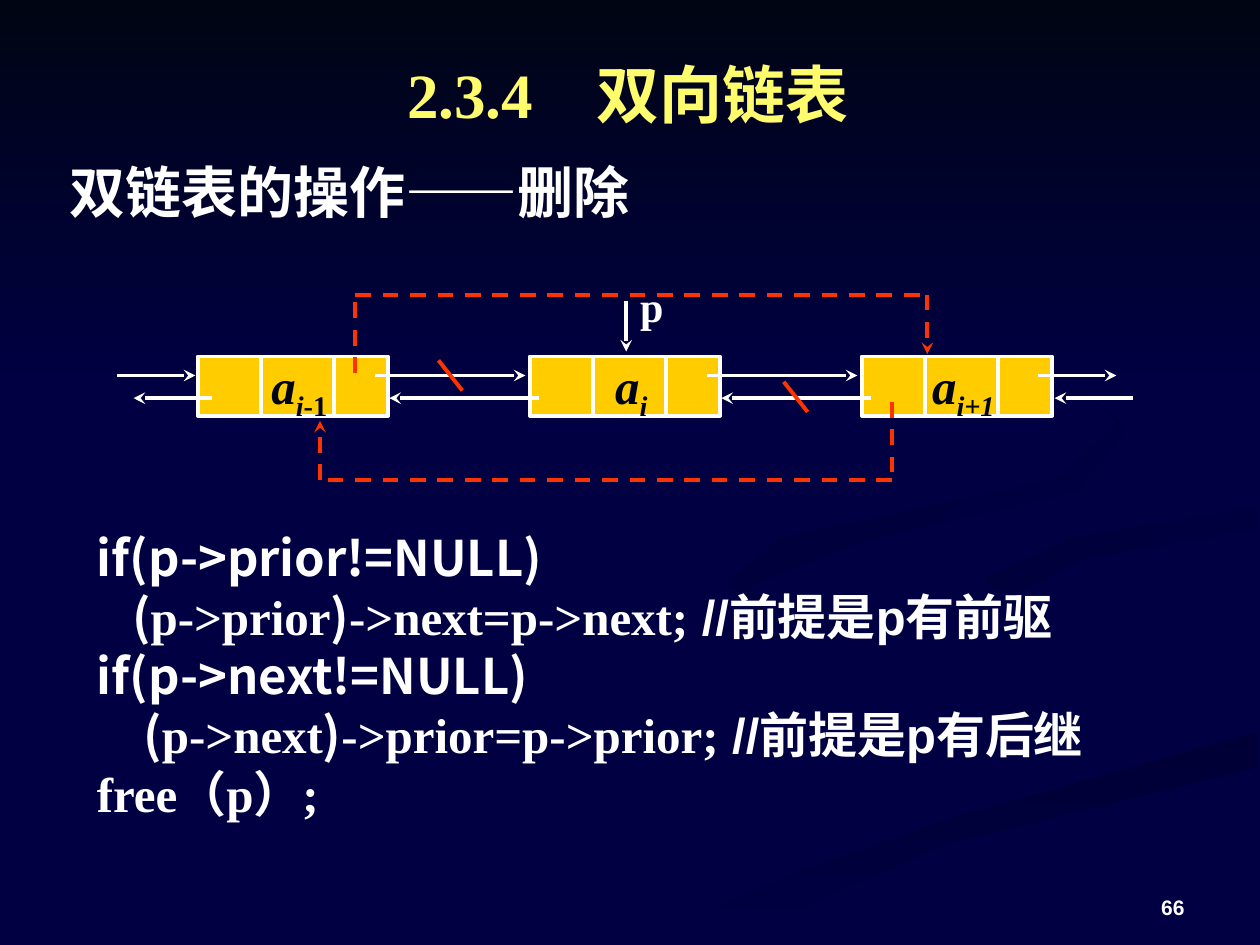
from lxml.etree import SubElement
from pptx import Presentation
from pptx.dml.color import RGBColor
from pptx.enum.dml import MSO_LINE_DASH_STYLE as Dash
from pptx.enum.shapes import MSO_CONNECTOR as Connector, MSO_SHAPE as Shape
from pptx.enum.text import MSO_ANCHOR as Anchor, PP_ALIGN as Align
from pptx.oxml.ns import qn
from pptx.util import Inches, Pt

WHITE, RED, GOLD, YELLOW, NAVY, INK = (
    "FFFFFF", "FF3300", "FFCC00", "FEFB6D", "000042", "000514")
TIMES, ARIAL, NOTO = "Times New Roman", "Arial", "Noto Sans CJK SC"
color = RGBColor.from_string

prs = Presentation()
prs.slide_width, prs.slide_height = Inches(10), Inches(7.5)
slide = prs.slides.add_slide(prs.slide_layouts[6])
shapes = slide.shapes
slide.background.fill.solid()
slide.background.fill.fore_color.rgb = color(NAVY)


def write(paragraph, pieces, size, rgb):
    """Add bold runs given as (text, font, extra rPr attributes)."""
    for text, font, extra in pieces:
        run = paragraph.add_run()
        run.text = text
        formats = {"name": font, "size": Pt(size), "bold": True}
        for key, value in formats.items():
            setattr(run.font, key, value)
        run.font.color.rgb = color(rgb)
        props = run.font._element
        SubElement(props, qn("a:ea")).set("typeface", NOTO)
        for key, value in extra.items():
            props.set(key, value)


def draw_line(x1, y1, x2, y2, rgb=WHITE, arrow=False, dashed=False):
    line = shapes.add_connector(
        Connector.STRAIGHT, *map(Inches, (x1, y1, x2, y2)))
    line.line.color.rgb = color(rgb)
    line.line.width = Pt(2.25)
    if dashed:
        line.line.dash_style = Dash.DASH
    if arrow:
        SubElement(line.line._get_or_add_ln(), qn("a:tailEnd")).set("type", "stealth")
    SubElement(line._element.spPr, qn("a:effectLst"))


# Faint background swooshes and the dark band at the top
swooshes = [
    ("000036", 90, [(5.03, 7.49), (5.71, 7.49), (7.5, 6.7), (9.98, 6.09),
                    (9.98, 5.81), (7.64, 6.47), (6.3, 6.93)]),
    ("00003A", 45, [(7.81, 4.6), (8.26, 4.96), (8.05, 4.72), (8.6, 4.43),
                    (9.98, 4.2), (9.98, 4.02), (8.5, 4.27)]),
    ("000038", 45, [(6.83, 4.3), (8.55, 3.9), (8.94, 3.4), (7.62, 2.33),
                    (8.89, 3.35), (8.4, 3.8), (6.2, 4.27), (5.77, 4.62),
                    (6.22, 5), (5.95, 4.65)]),
    (INK, 90, [(0, 0), (0, 3.08), (10, 3.08), (10, 0)]),
]
for start, angle, outline in swooshes:
    points = [(Inches(x), Inches(y)) for x, y in outline]
    builder = shapes.build_freeform(*points[0])
    builder.add_line_segments(points[1:], close=True)
    swoosh = builder.convert_to_shape()
    swoosh.shadow.inherit = False
    swoosh.line.fill.background()
    swoosh.fill.gradient()
    swoosh.fill.gradient_angle = 360 - angle
    for stop, rgb in zip(swoosh.fill.gradient_stops, (start, NAVY)):
        stop.color.rgb = color(rgb)

# Title, heading, code, pointer label and page number:
# place, size, colour, margin, anchor, paragraph format, [(indent, runs)]
code = [(0, [("if(p->prior!=NULL)", NOTO, {})])]
code += [
    (0.28, [("(", NOTO, {}), ("p->prior", TIMES, {}), (")", NOTO, {}),
            ("->next=p->next;", TIMES, {}), (" //前提是p有前驱", ARIAL, {})]),
    (0, [("if(p->next!=NULL)", NOTO, {})]),
    (0.37, [("(", NOTO, {}), ("p->next", TIMES, {}), (")", NOTO, {}),
            ("->prior=p->prior;", TIMES, {}), (" //前提是p有后继", ARIAL, {})]),
    (0, [("free（p）;", TIMES, {})]),
]
texts = [
    ((1.52, 0.46, 6.92, 0.64), 36, YELLOW, 0.1, Anchor.MIDDLE,
     {"alignment": Align.CENTER, "line_spacing": 0.9},
     [(0, [("2.3.4　双向链表", TIMES, {})])]),
    ((0.45, 1.2, 4.75, 0.64), 32, WHITE, 0.1, Anchor.TOP, {},
     [(0, [("双链表的操作——删除", ARIAL, {})])]),
    ((0.67, 4.14, 9.14, 2.44), 28, WHITE, 0.1, Anchor.TOP, {}, code),
    ((5.08, 2.23, 0.27, 0.4), 24, WHITE, 0, Anchor.TOP, {},
     [(0, [("p", TIMES, {})])]),
    ((7.17, 6.83, 2.33, 0.52), 12, WHITE, 0.1, Anchor.BOTTOM,
     {"alignment": Align.RIGHT}, [(0, [("66", ARIAL, {})])]),
]
for place, size, rgb, margin, anchor, layout, lines in texts:
    frame = shapes.add_textbox(*map(Inches, place)).text_frame
    formats = {"word_wrap": True, "vertical_anchor": anchor,
               "margin_left": Inches(margin), "margin_right": Inches(margin),
               "margin_top": Inches(margin / 2), "margin_bottom": Inches(margin / 2)}
    for key, value in formats.items():
        setattr(frame, key, value)
    for number, (indent, pieces) in enumerate(lines):
        paragraph = frame.add_paragraph() if number else frame.paragraphs[0]
        if indent:
            paragraph._p.get_or_add_pPr().set("marL", str(Inches(indent)))
        for key, value in layout.items():
            setattr(paragraph, key, value)
        write(paragraph, pieces, size, rgb)

# List nodes, each split into prior, data and next
FIRST, PITCH, TOP, HEIGHT = 1.57, 2.635, 2.83, 0.47
ITALIC, SUB = {"i": "1"}, {"baseline": "-25000"}
subscripts = [
    [("i", TIMES, ITALIC | SUB), ("-1", TIMES, SUB)],
    [("i", TIMES, ITALIC | SUB)],
    [("i+1", TIMES, ITALIC | SUB)],
]
for index, subscript in enumerate(subscripts):
    left = FIRST + index * PITCH
    node = shapes.add_shape(
        Shape.RECTANGLE, *map(Inches, (left, TOP, 1.51, HEIGHT)))
    node.shadow.inherit = False
    node.fill.solid()
    node.fill.fore_color.rgb = color(GOLD)
    node.line.color.rgb = color(WHITE)
    node.line.width = Pt(2.25)
    formats = {"vertical_anchor": Anchor.TOP, "word_wrap": True,
               "margin_left": Inches(0.2), "margin_right": Inches(0.1),
               "margin_top": 0, "margin_bottom": Inches(0.09)}
    for key, value in formats.items():
        setattr(node.text_frame, key, value)
    label = node.text_frame.paragraphs[0]
    label.alignment, label.line_spacing = Align.CENTER, 0.9
    write(label, [("a", TIMES, ITALIC)] + subscript, 28, INK)
    for offset in (0.5, 1.08):
        draw_line(left + offset, TOP, left + offset, TOP + HEIGHT)

# Links to next (upper row) and to prior (lower row), then the pointer p
NEXT, PRIOR = 2.98, 3.16
for gap in range(2):
    shift = gap * PITCH
    draw_line(2.98 + shift, NEXT, 4.17 + shift, NEXT, arrow=True)
    draw_line(4.28 + shift, PRIOR, 3.09 + shift, PRIOR, arrow=True)
for start, y, length in ((0.93, NEXT, 0.62), (8.24, NEXT, 0.62),
                         (1.68, PRIOR, -0.62), (8.99, PRIOR, -0.62)):
    draw_line(start, y, start + length, y, arrow=True)
draw_line(4.97, 2.39, 4.97, 2.79, arrow=True)

# New dashed links that bypass the deleted node, and strokes on the cut ones
for x1, x2, y1, bend, y2 in ((2.82, 7.36, 2.96, 2.34, 2.81),
                             (7.08, 2.54, 3.19, 3.81, 3.34)):
    draw_line(x1, y1, x1, bend, RED, dashed=True)
    draw_line(x1, bend, x2, bend, RED, dashed=True)
    draw_line(x2, bend, x2, y2, RED, arrow=True, dashed=True)
for x, y in ((3.48, 2.86), (6.22, 3.03)):
    draw_line(x, y, x + 0.19, y + 0.24, RED)

prs.save("out.pptx")
